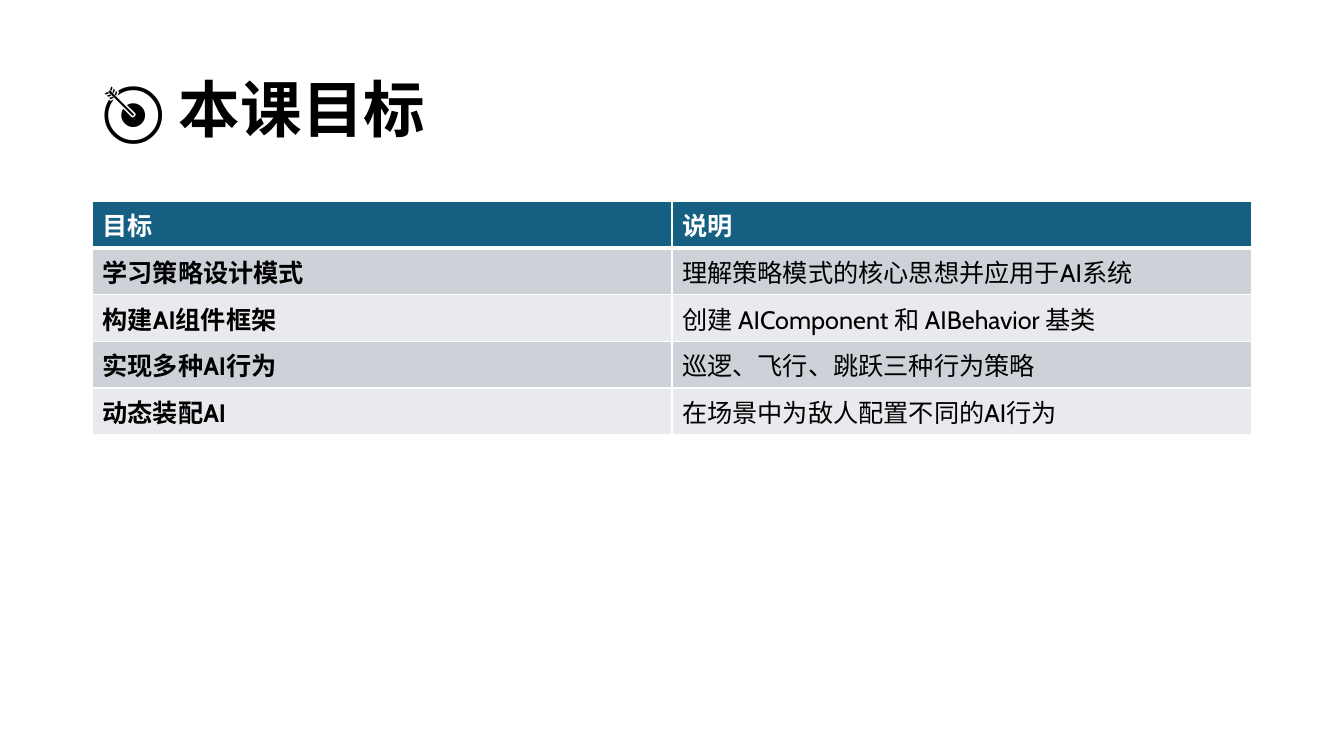
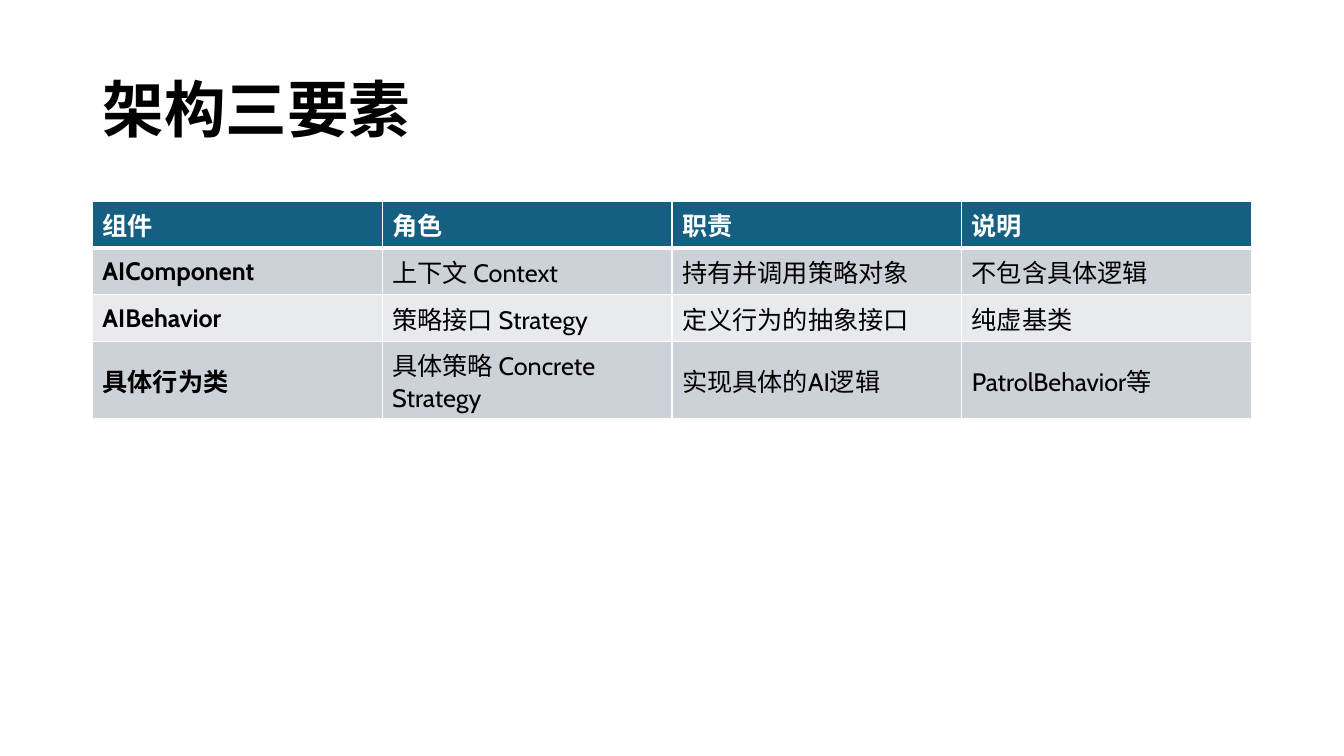
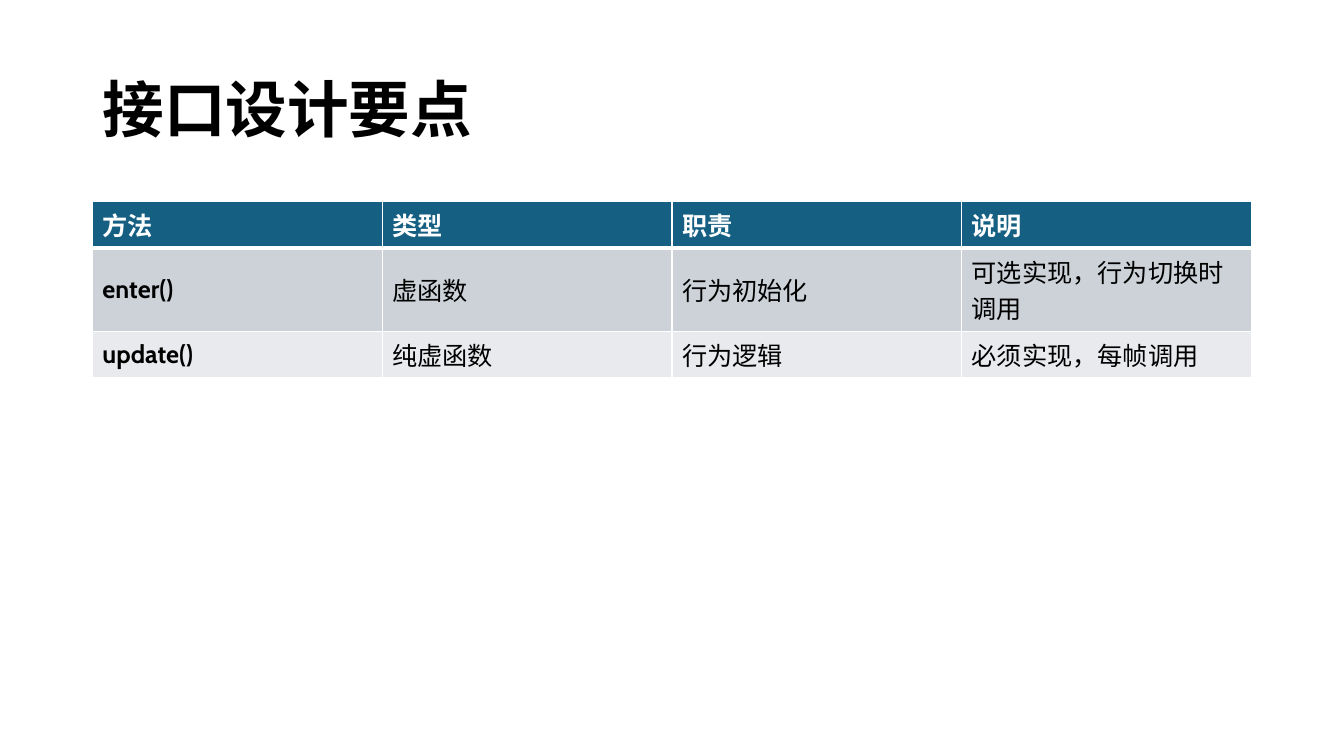
import pptx
import pptx.dml.color
import pptx.enum.text
import pptx.oxml
import pptx.oxml.ns
import pptx.util

PX = 9525
FONT = "Cabin"
BLACK, WHITE = "000000", "FFFFFF"
HEADER_FILL = "156082"
BAND_FILLS = ("CCD2D8", "E8EAED")
TITLE_BOX = (88, 38, 1104, 139)
TABLE_BOX = (88, 192, 1104)
ROW_HEIGHT = 39
TITLE_ONLY = 5

LESSONS = [
    ("🎯 本课目标", [
        ("目标", "说明"),
        ("学习策略设计模式", "理解策略模式的核心思想并应用于AI系统"),
        ("构建AI组件框架", "创建 AIComponent 和 AIBehavior 基类"),
        ("实现多种AI行为", "巡逻、飞行、跳跃三种行为策略"),
        ("动态装配AI", "在场景中为敌人配置不同的AI行为"),
    ]),
    ("架构三要素", [
        ("组件", "角色", "职责", "说明"),
        ("AIComponent", "上下文 Context", "持有并调用策略对象", "不包含具体逻辑"),
        ("AIBehavior", "策略接口 Strategy", "定义行为的抽象接口", "纯虚基类"),
        ("具体行为类", "具体策略 Concrete Strategy", "实现具体的AI逻辑", "PatrolBehavior等"),
    ]),
    ("接口设计要点", [
        ("方法", "类型", "职责", "说明"),
        ("enter()", "虚函数", "行为初始化", "可选实现，行为切换时调用"),
        ("update()", "纯虚函数", "行为逻辑", "必须实现，每帧调用"),
    ]),
]


def px(length):
    """Turn whole pixels into EMU."""
    return pptx.util.Emu(length * PX)


def rgb(value):
    """Turn a hex string into a colour."""
    return pptx.dml.color.RGBColor.from_string(value)


def write(frame, text, size=18, color=BLACK, bold=False, spacing=1.0):
    """Put one left-aligned line of formatted text in a text frame."""
    paragraph = frame.paragraphs[0]
    paragraph.alignment = pptx.enum.text.PP_ALIGN.LEFT
    paragraph.line_spacing = spacing
    run = paragraph.add_run()
    run.text = text
    run.font.name = FONT
    run.font.size = pptx.util.Pt(size)
    run.font.bold = bold
    run.font.color.rgb = rgb(color)


def add_border(cell, side, points):
    """Draw one white edge of a table cell."""
    cell._tc.get_or_add_tcPr().append(pptx.oxml.parse_xml(
        f'<a:{side} {pptx.oxml.ns.nsdecls("a")} w="{pptx.util.Pt(points)}">'
        f'<a:solidFill><a:srgbClr val="{WHITE}"/></a:solidFill></a:{side}>'))


def style_cell(cell, text, row, column):
    """Format a cell by its place in the table."""
    header = row == 0
    borders = {"lnL": 1, "lnR": 1, "lnT": 1, "lnB": 3} if header else {"lnL": 1, "lnR": 1, "lnB": 1}
    for side, points in borders.items():
        add_border(cell, side, points)
    cell.fill.solid()
    cell.fill.fore_color.rgb = rgb(HEADER_FILL if header else BAND_FILLS[(row - 1) % 2])
    cell.vertical_anchor = pptx.enum.text.MSO_ANCHOR.MIDDLE
    write(cell.text_frame, text, color=WHITE if header else BLACK, bold=header or column == 0)


def place_title(slide, text, box):
    """Move and fill the title placeholder."""
    heading = slide.shapes.title
    heading.left, heading.top, heading.width, heading.height = map(px, box)
    frame = heading.text_frame
    frame.word_wrap = True
    frame.auto_size = pptx.enum.text.MSO_AUTO_SIZE.NONE
    frame.vertical_anchor = pptx.enum.text.MSO_ANCHOR.MIDDLE
    write(frame, text, size=44, bold=True, spacing=0.9)


def place_table(slide, rows, box):
    """Add a banded table with equal columns across the box."""
    left, top, width = box
    grid = slide.shapes.add_table(
        len(rows), len(rows[0]), px(left), px(top), px(width), px(ROW_HEIGHT * len(rows))).table
    for row, texts in enumerate(rows):
        for column, text in enumerate(texts):
            style_cell(grid.cell(row, column), text, row, column)


def add_lesson_slide(deck, title, rows):
    """Add a slide with a title above a table."""
    slide = deck.slides.add_slide(deck.slide_layouts[TITLE_ONLY])
    place_title(slide, title, TITLE_BOX)
    place_table(slide, rows, TABLE_BOX)


def main():
    """Build and save the presentation."""
    deck = pptx.Presentation()
    deck.slide_width, deck.slide_height = px(1280), px(720)
    for title, rows in LESSONS:
        add_lesson_slide(deck, title, rows)
    deck.save("out.pptx")


if __name__ == "__main__":
    main()
